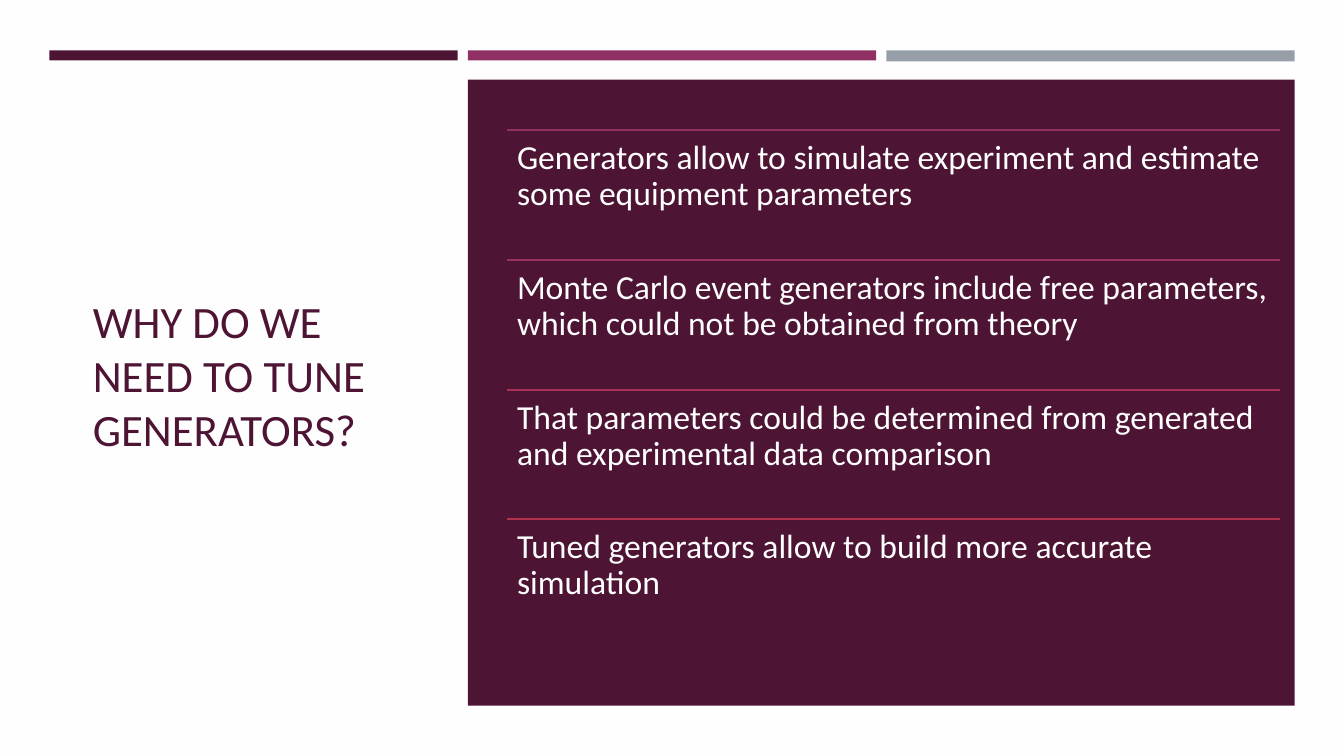
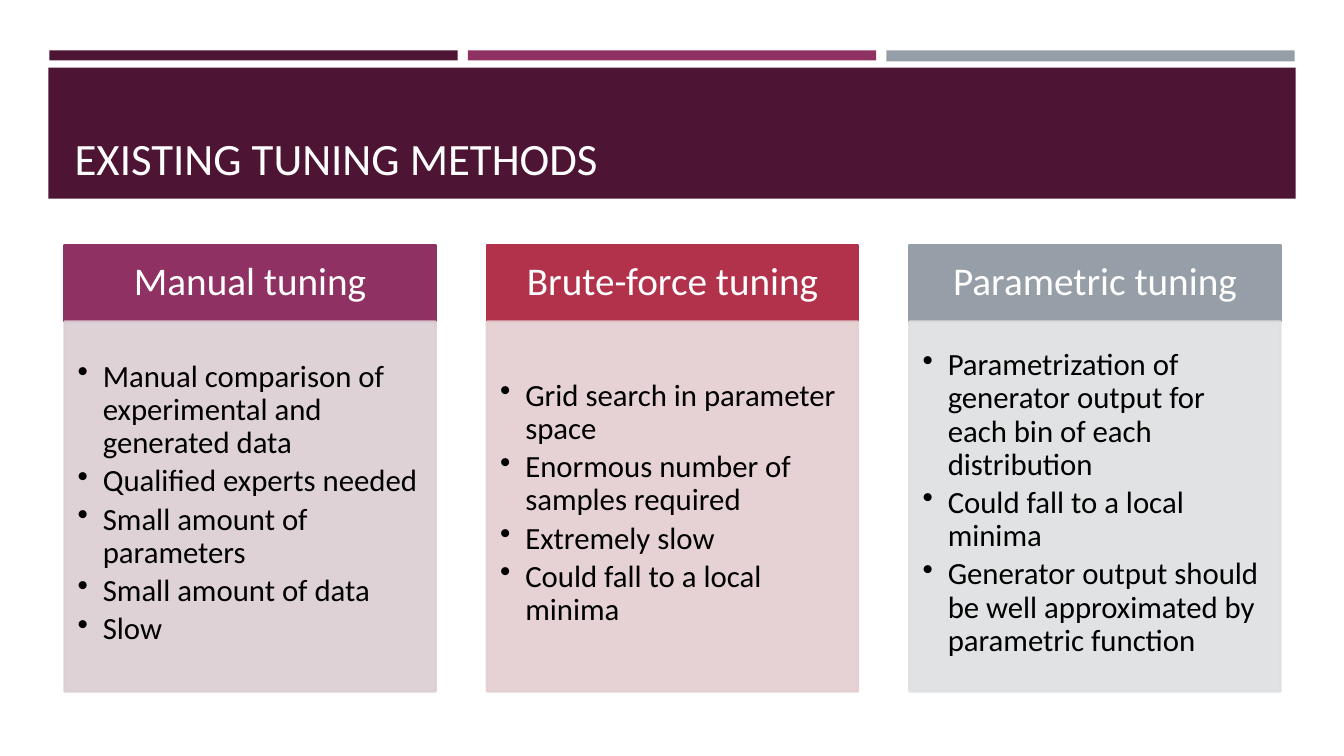
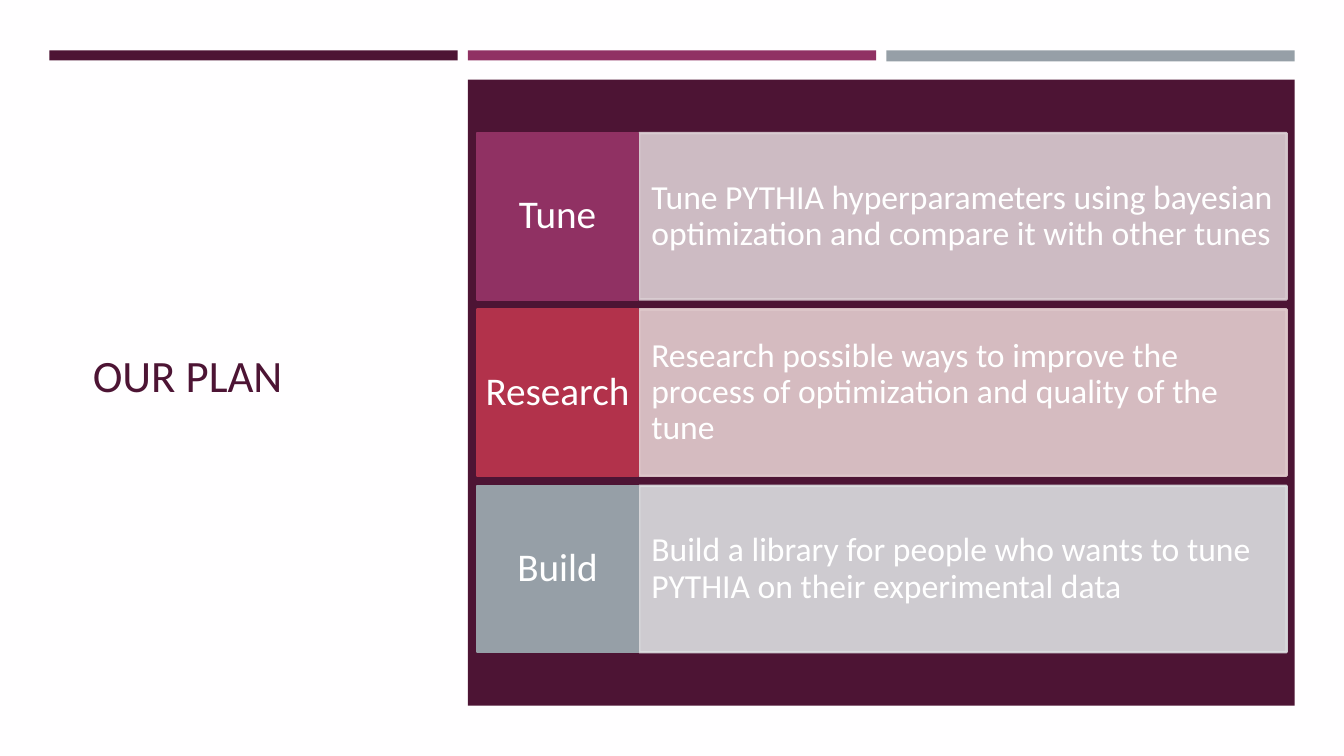
from lxml.etree import SubElement
from pptx import Presentation
from pptx.dml.color import RGBColor
from pptx.enum.shapes import MSO_CONNECTOR, MSO_SHAPE
from pptx.enum.text import MSO_ANCHOR as ANCHOR, MSO_AUTO_SIZE as AUTO_SIZE, PP_ALIGN as ALIGN
from pptx.oxml.ns import qn
from pptx.util import Pt

PX = 9144  # EMU per px, 100 px to the inch
FONT = "Calibri"
COLORS = {
    "paper": "FFFEFF", "white": "FFFFFF", "black": "000000",
    "plum": "4D1434", "magenta": "903163", "red": "B2324B", "gray": "969FA7",
    "magenta tint": "DBCED3", "red tint": "E4CED0", "gray tint": "DDDFE1",
    "rule 2": "9B325D", "rule 3": "A63256",
}
ACCENTS = ("magenta", "red", "gray")


def rgb(color):
    return RGBColor.from_string(COLORS[color])


class Deck:
    def __init__(self, width, height):
        self.prs = Presentation()
        self.prs.slide_width, self.prs.slide_height = width * PX, height * PX
        self.slide = None

    def new_slide(self, background):
        """Title-only slide with the three bars along the top."""
        self.slide = self.prs.slides.add_slide(self.prs.slide_layouts[5])
        fill = self.slide.background.fill
        fill.solid()
        fill.fore_color.rgb = rgb(background)
        for i, (color, height) in enumerate((("plum", 10), ("magenta", 10), ("gray", 11))):
            self.box(49 + i * 415, 50, 405, height, color)

    def title(self, text, box, color, anchor):
        title = self.slide.shapes.title
        title.element.getparent().append(title.element)  # bring to front
        title.left, title.top, title.width, title.height = (v * PX for v in box)
        self.set_text(title, [text], 32, color, anchor, spacing=1)

    def side_layout(self, title):
        """Title on the left, dark panel on the right."""
        self.new_slide("paper")
        self.box(464, 79, 820, 621, "plum")
        self.title(title, (82, 114, 334, 515), "plum", ANCHOR.MIDDLE)

    def box(self, x, y, w, h, color, outlined=False, opacity=100):
        shape = self.slide.shapes.add_shape(
            MSO_SHAPE.RECTANGLE, x * PX, y * PX, w * PX, h * PX)
        shape.shadow.inherit = False
        shape.fill.solid()
        shape.fill.fore_color.rgb = rgb(color)
        if outlined:
            shape.line.color.rgb = rgb(color)
            shape.line.width = Pt(1.75)
        else:
            shape.line.fill.background()
        if opacity < 100:
            for tone in shape.element.spPr.iter(qn("a:srgbClr")):
                SubElement(tone, qn("a:alpha"), val=str(opacity * 1000))
        return shape

    def rule(self, x, y, w, color):
        line = self.slide.shapes.add_connector(
            MSO_CONNECTOR.STRAIGHT, x * PX, y * PX, (x + w) * PX, y * PX)
        line.line.color.rgb = rgb(color)
        line.line.width = Pt(1)
        SubElement(line.element.spPr, qn("a:effectLst"))

    def text(self, x, y, w, h, text, size, color):
        label = self.slide.shapes.add_textbox(x * PX, y * PX, w * PX, h * PX)
        self.set_text(label, [text], size, color, ANCHOR.TOP, insets=(10, 10, 10, 10))

    def set_text(self, shape, lines, size, color, anchor, align=ALIGN.LEFT,
                 insets=(10, 5, 10, 5), spacing=0.9, bullets=False):
        frame = shape.text_frame
        frame.text = "\n".join(lines)
        frame.word_wrap = True
        frame.auto_size = AUTO_SIZE.NONE
        frame.vertical_anchor = anchor
        (frame.margin_left, frame.margin_top,
         frame.margin_right, frame.margin_bottom) = (v * PX for v in insets)
        for paragraph in frame.paragraphs:
            paragraph.alignment = align
            paragraph.line_spacing = spacing
            if bullets:
                paragraph.space_after = Pt(3.5)
                props = paragraph._p.get_or_add_pPr()
                props.set("marL", str(25 * PX))
                props.set("indent", str(-25 * PX))
                SubElement(props, qn("a:buChar"), char="•")
            for run in paragraph.runs:
                run.font.name = FONT
                run.font.size = Pt(size)
                run.font.color.rgb = rgb(color)


def reasons_slide(deck):
    deck.side_layout("WHY DO WE NEED TO TUNE GENERATORS?")
    reasons = (
        ("magenta", "Generators allow to simulate experiment and estimate some equipment parameters"),
        ("rule 2", "Monte Carlo event generators include free parameters, "
                   "which could not be obtained from theory"),
        ("rule 3", "That parameters could be determined from generated "
                   "and experimental data comparison"),
        ("red", "Tuned generators allow to build more accurate simulation"),
    )
    for i, (color, reason) in enumerate(reasons):
        top = 129 + round(i * 515 / len(reasons))
        deck.rule(503, top, 767, color)
        deck.text(503, top, 767, 129, reason, 24, "white")


def methods_slide(deck):
    deck.new_slide("white")
    deck.box(48, 67, 1237, 130, "plum")
    deck.title("EXISTING TUNING METHODS", (64, 77, 1206, 111), "paper", ANCHOR.BOTTOM)
    methods = (
        ("Manual tuning", (
            "Manual comparison of experimental and generated data",
            "Qualified experts needed",
            "Small amount of parameters",
            "Small amount of data",
            "Slow")),
        ("Brute-force tuning", (
            "Grid search in parameter space",
            "Enormous number of samples required",
            "Extremely slow",
            "Could fall to a local minima")),
        ("Parametric tuning", (
            "Parametrization of generator output for each bin of each distribution",
            "Could fall to a local minima",
            "Generator output should be well approximated by parametric function")),
    )
    for i, (accent, (method, traits)) in enumerate(zip(ACCENTS, methods)):
        left = 64 + i * 419
        header = deck.box(left, 243, 368, 76, accent, outlined=True)
        deck.set_text(header, [method], 28, "white", ANCHOR.MIDDLE, ALIGN.CENTER,
                      insets=(22, 12, 22, 12))
        body = deck.box(left, 319, 368, 367, accent + " tint", outlined=True, opacity=90)
        deck.set_text(body, traits, 22, "black", ANCHOR.MIDDLE,
                      insets=(13, 13, 17, 19), bullets=True)


def plan_slide(deck):
    deck.side_layout("OUR PLAN")
    steps = (
        ("Tune", "Tune PYTHIA hyperparameters using bayesian optimization "
                 "and compare it with other tunes"),
        ("Research", "Research possible ways to improve the process of optimization "
                     "and quality of the tune"),
        ("Build", "Build a library for people who wants to tune PYTHIA on their experimental data"),
    )
    for i, (accent, (step, detail)) in enumerate(zip(ACCENTS, steps)):
        top = 132 + i * 175
        body = deck.box(634, top, 642, 165, accent + " tint", outlined=True, opacity=90)
        deck.set_text(body, [detail], 24, "white", ANCHOR.MIDDLE, insets=(12, 42, 12, 42))
        header = deck.box(473, top, 160, 165, accent, outlined=True)
        deck.set_text(header, [step], 28, "white", ANCHOR.MIDDLE, ALIGN.CENTER,
                      insets=(8, 16, 8, 16))


def main():
    deck = Deck(1333, 750)
    reasons_slide(deck)
    methods_slide(deck)
    plan_slide(deck)
    deck.prs.save("out.pptx")


if __name__ == "__main__":
    main()
